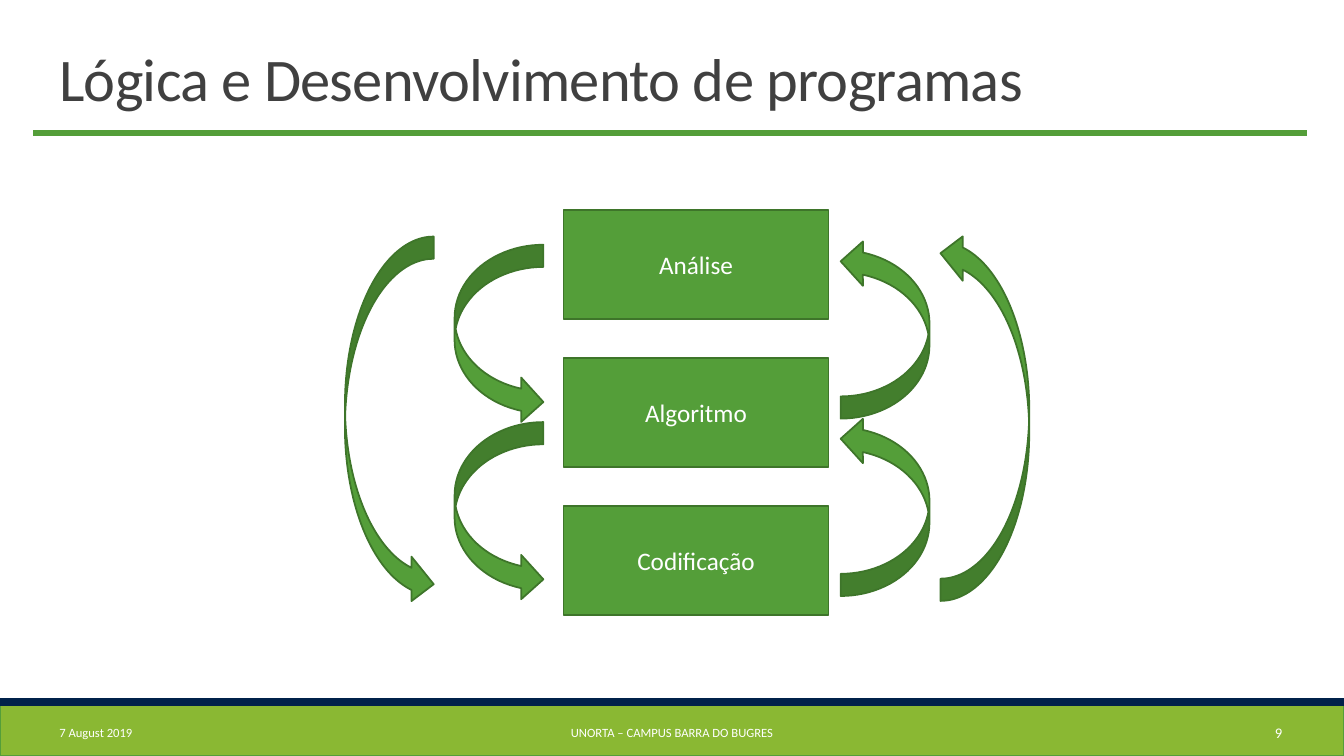
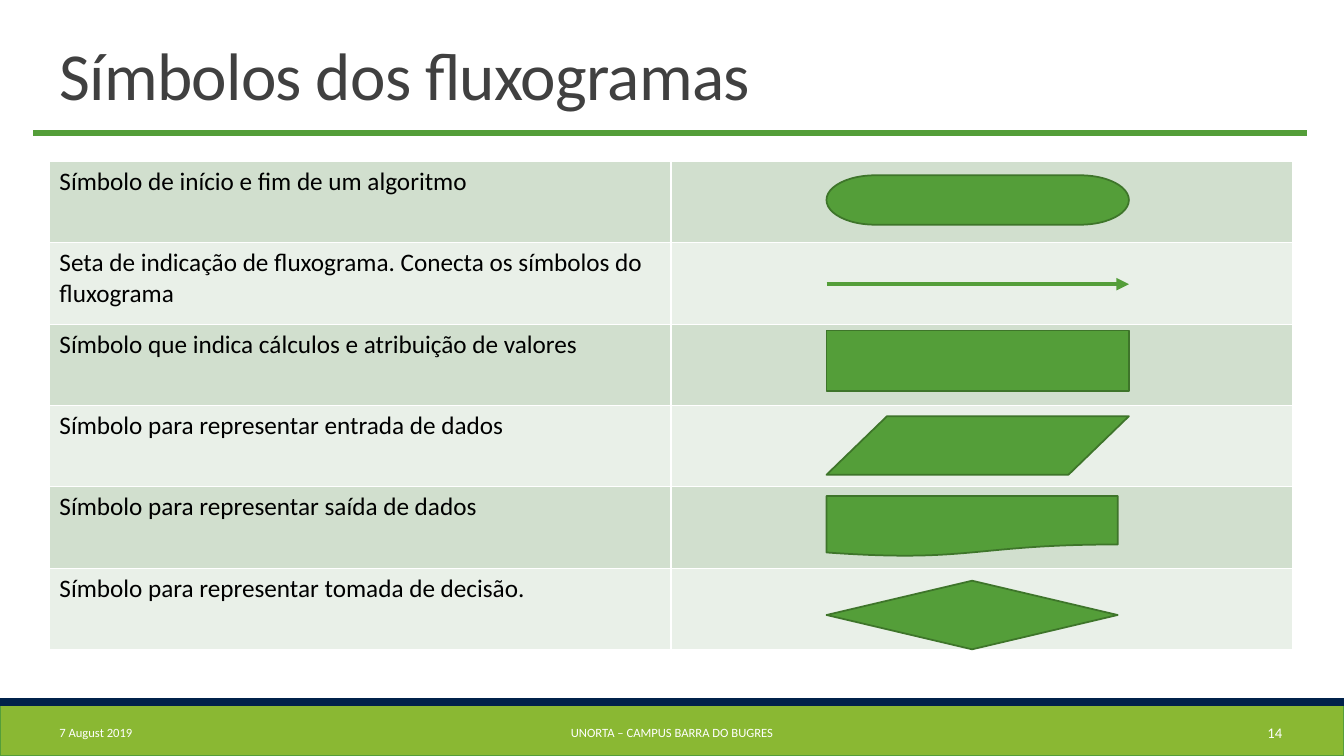
from dataclasses import dataclass

from lxml.etree import SubElement
from pptx import Presentation
from pptx.dml.color import RGBColor
from pptx.enum.shapes import MSO_CONNECTOR, MSO_SHAPE
from pptx.enum.text import MSO_ANCHOR, PP_ALIGN
from pptx.oxml import parse_xml
from pptx.oxml.ns import nsdecls, qn
from pptx.shapes.autoshape import Shape
from pptx.slide import Slide
from pptx.util import Pt


@dataclass(frozen=True)
class Theme:
    font: str = "Calibri"
    green: str = "549E39"
    outline: str = "3E752A"
    lime: str = "8AB833"
    navy: str = "00214A"
    white: str = "FFFFFF"
    black: str = "000000"
    title: str = "404040"
    row_fills: tuple[str, str] = ("D1DFCE", "E9F0E8")
    body_size: float = 18
    footer_size: float = 9
    number_size: float = 10.5
    outline_width: float = 1.25


@dataclass(frozen=True)
class Area:
    left: float
    top: float
    width: float
    height: float

    def lengths(self) -> tuple[Pt, Pt, Pt, Pt]:
        return Pt(self.left), Pt(self.top), Pt(self.width), Pt(self.height)


@dataclass(frozen=True)
class CurvedArrow:
    area: Area
    rotation: float = 0


@dataclass(frozen=True)
class FlowSymbol:
    kind: MSO_SHAPE
    top: float
    width: float
    height: float


@dataclass(frozen=True)
class FooterText:
    text: str
    left: float
    width: float
    size: float
    align: PP_ALIGN


THEME = Theme()
SLIDE_WIDTH, SLIDE_HEIGHT = 960, 540
MARGIN = 35.3

STEPS = ("Análise", "Algoritmo", "Codificação")
STEP_PITCH = 105.6
ARROW_PITCH = 126.7
ARROW_WIDTH = 63.4
SHORT_ARROW, LONG_ARROW = 128.2, 264.2

ARROWS = (
    *(CurvedArrow(Area(324.7, 174.8 + i * ARROW_PITCH, ARROW_WIDTH, SHORT_ARROW)) for i in range(2)),
    *(CurvedArrow(Area(600.5, 170.8 + i * ARROW_PITCH, ARROW_WIDTH, SHORT_ARROW), 180) for i in range(2)),
    CurvedArrow(Area(246.4, 169, ARROW_WIDTH, LONG_ARROW)),
    CurvedArrow(Area(671.8, 165, ARROW_WIDTH, LONG_ARROW), 180),
)

DESCRIPTIONS = (
    "Símbolo de início e fim de um algoritmo",
    "Seta de indicação de fluxograma. Conecta os símbolos do fluxograma",
    "Símbolo que indica cálculos e atribuição de valores",
    "Símbolo para representar entrada de dados",
    "Símbolo para representar saída de dados",
    "Símbolo para representar tomada de decisão.",
)
SYMBOL_LEFT = 590.4
SYMBOLS = (
    FlowSymbol(MSO_SHAPE.FLOWCHART_TERMINATOR, 125.2, 216, 35.3),
    FlowSymbol(MSO_SHAPE.FLOWCHART_PROCESS, 236, 216, 43.2),
    FlowSymbol(MSO_SHAPE.FLOWCHART_DATA, 297.3, 216, 41.8),
    FlowSymbol(MSO_SHAPE.FLOWCHART_DOCUMENT, 354.3, 208, 43.2),
    FlowSymbol(MSO_SHAPE.FLOWCHART_DECISION, 414.8, 208, 49),
)


def color(value: str) -> RGBColor:
    return RGBColor.from_string(value)


def add_text(shape: Shape, text: str, size: float, tint: str = THEME.white,
             align: PP_ALIGN = PP_ALIGN.LEFT, anchor: MSO_ANCHOR = MSO_ANCHOR.MIDDLE) -> None:
    frame = shape.text_frame
    frame.word_wrap = True
    frame.vertical_anchor = anchor
    para = frame.paragraphs[0]
    para.text = text
    para.alignment = align
    para.font.name = THEME.font
    para.font.size = Pt(size)
    para.font.color.rgb = color(tint)


def add_figure(page: Slide, kind: MSO_SHAPE, area: Area,
               fill: str = THEME.green, outline: str = THEME.outline) -> Shape:
    shape = page.shapes.add_shape(kind, *area.lengths())
    shape.shadow.inherit = False
    shape.fill.solid()
    shape.fill.fore_color.rgb = color(fill)
    shape.line.color.rgb = color(outline)
    shape.line.width = Pt(THEME.outline_width)
    return shape


def add_rule(page: Slide, left: float, right: float, height: float,
             width: float, arrowhead: bool = False) -> None:
    rule = page.shapes.add_connector(
        MSO_CONNECTOR.STRAIGHT, Pt(left), Pt(height), Pt(right), Pt(height))
    rule.line.color.rgb = color(THEME.green)
    rule.line.width = Pt(width)
    properties = rule.element.spPr
    if arrowhead:
        SubElement(properties.find(qn("a:ln")), qn("a:tailEnd"), type="triangle")
    SubElement(properties, qn("a:effectLst"))


def add_title(page: Slide, text: str, size: float) -> None:
    box = page.shapes.add_textbox(*Area(MARGIN, 22.3, 748, 62.6).lengths())
    add_text(box, text, size, THEME.title, anchor=MSO_ANCHOR.BOTTOM)
    para = box.text_frame.paragraphs[0]
    para.line_spacing = 0.85
    para.runs[0].font.size = Pt(size)
    for properties in box.element.iter(qn("a:rPr")):
        properties.set("spc", "-50")


def add_page(deck: Presentation, title: str, title_size: float, number: int) -> Slide:
    page = deck.slides.add_slide(deck.slide_layouts[6])
    add_figure(page, MSO_SHAPE.RECTANGLE, Area(0, 504, SLIDE_WIDTH, 36), THEME.lime, THEME.green)
    add_figure(page, MSO_SHAPE.RECTANGLE, Area(0, 499, SLIDE_WIDTH, 5), THEME.navy, THEME.navy)
    add_rule(page, 23.7, 933.7, 95, 4.5)
    add_title(page, title, title_size)
    footers = (
        FooterText("7 August 2019", MARGIN, 194.4, THEME.footer_size, PP_ALIGN.LEFT),
        FooterText("UNORTA – CAMPUS BARRA DO BUGRES", 290.2, 379.4, THEME.footer_size, PP_ALIGN.CENTER),
        FooterText(str(number), 820, 103, THEME.number_size, PP_ALIGN.RIGHT),
    )
    for footer in footers:
        box = page.shapes.add_textbox(*Area(footer.left, 508.8, footer.width, 28.8).lengths())
        add_text(box, footer.text, footer.size, align=footer.align)
    return page


def add_development_page(deck: Presentation) -> None:
    page = add_page(deck, "Lógica e Desenvolvimento de programas", 43.2, 9)
    for index, step in enumerate(STEPS):
        area = Area(402.5, 150.2 + index * STEP_PITCH, 189.4, 77.8)
        box = add_figure(page, MSO_SHAPE.RECTANGLE, area)
        add_text(box, step, THEME.body_size, align=PP_ALIGN.CENTER)
    for arrow in ARROWS:
        shape = add_figure(page, MSO_SHAPE.CURVED_RIGHT_ARROW, arrow.area)
        shape.rotation = arrow.rotation


def add_symbol_table(page: Slide) -> None:
    area = Area(MARGIN, 115.4, 888, 348.6)
    holder = page.shapes.add_table(len(DESCRIPTIONS), 2, *area.lengths())
    table = holder.table
    table.first_row = False
    table.horz_banding = False
    for index, description in enumerate(DESCRIPTIONS):
        for column in range(2):
            cell = table.cell(index, column)
            cell.fill.solid()
            cell.fill.fore_color.rgb = color(THEME.row_fills[index % 2])
        cell = table.cell(index, 0)
        cell.text = description
        para = cell.text_frame.paragraphs[0]
        para.font.name = THEME.font
        para.font.size = Pt(THEME.body_size)
        para.font.color.rgb = color(THEME.black)
    for properties in holder.element.iter(qn("a:tcPr")):
        for position, side in enumerate(("lnL", "lnR", "lnT", "lnB")):
            properties.insert(position, parse_xml(
                f'<a:{side} {nsdecls("a")} w="{Pt(1)}"><a:solidFill>'
                f'<a:srgbClr val="{THEME.white}"/></a:solidFill></a:{side}>'))


def add_symbols_page(deck: Presentation) -> None:
    page = add_page(deck, "Símbolos dos fluxogramas", 48, 14)
    add_symbol_table(page)
    for symbol in SYMBOLS:
        add_figure(page, symbol.kind, Area(SYMBOL_LEFT, symbol.top, symbol.width, symbol.height))
    add_rule(page, SYMBOL_LEFT, SYMBOL_LEFT + 216, 203, 3, arrowhead=True)


def main() -> None:
    deck = Presentation()
    deck.slide_width, deck.slide_height = Pt(SLIDE_WIDTH), Pt(SLIDE_HEIGHT)
    add_development_page(deck)
    add_symbols_page(deck)
    deck.save("out.pptx")


if __name__ == "__main__":
    main()
